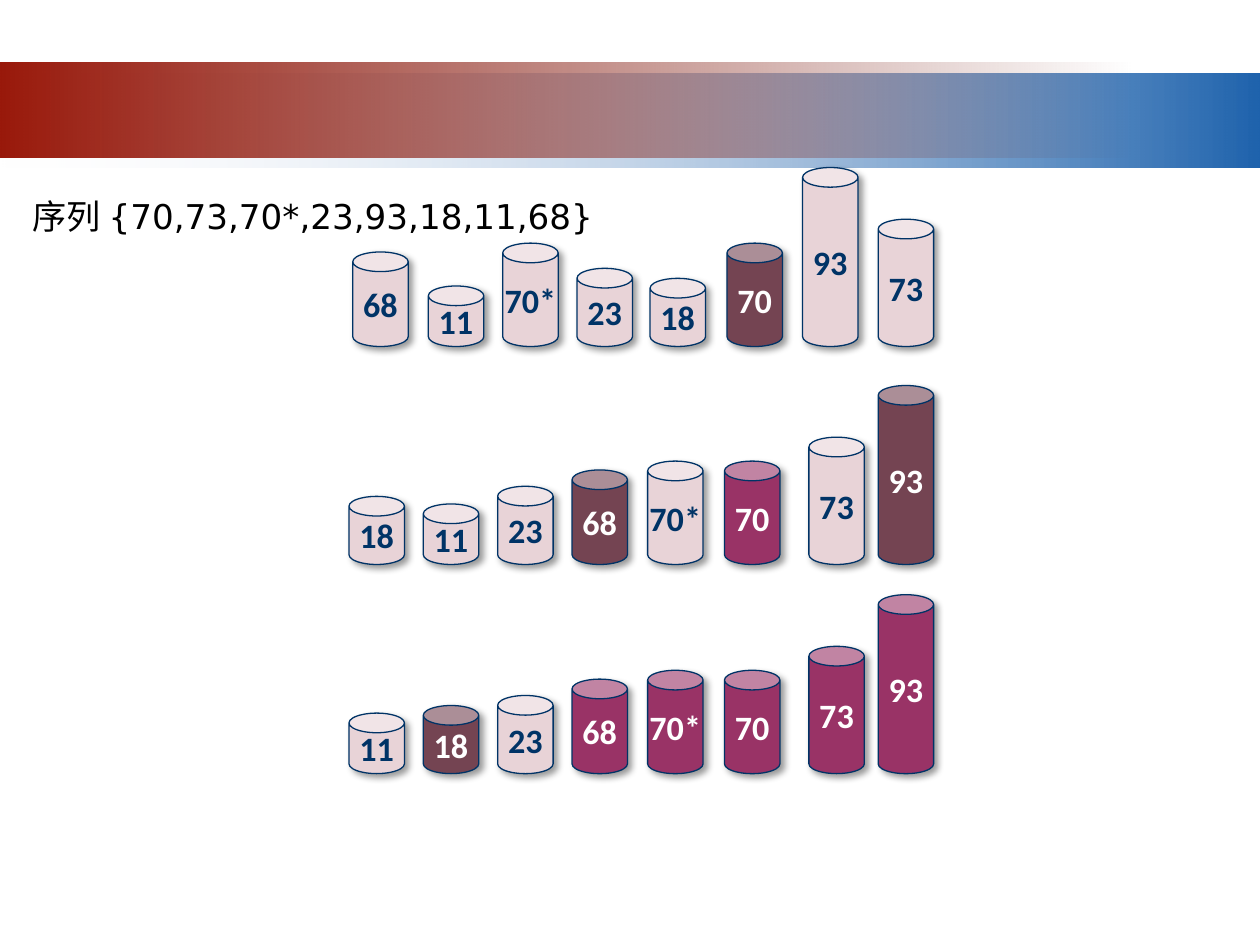
"""Build a slide that shows the partition steps of quicksort as rows of cans."""
from dataclasses import dataclass
from typing import Any

from lxml.etree import SubElement
from pptx import Presentation
from pptx.dml.color import RGBColor
from pptx.enum.shapes import MSO_SHAPE
from pptx.enum.text import MSO_ANCHOR, MSO_AUTO_SIZE, PP_ALIGN
from pptx.oxml.ns import qn
from pptx.util import Emu, Pt

PX_PER_INCH = 100


def px(length: int) -> Emu:
    """Turn whole px into EMU."""
    return Emu(length * 914400 // PX_PER_INCH)


@dataclass(frozen=True)
class Theme:
    """Hold the colours, fonts and sizes of the slide."""

    ink: str = "003366"
    light: str = "FFFFFF"
    black: str = "000000"
    red: str = "99190B"
    dark_red: str = "6D1208"
    pale: str = "F1F2F7"
    blue: str = "1F63AD"
    waiting: str = "E8D3D7"
    pivot: str = "744452"
    placed: str = "993366"
    can_font: str = "Calibri"
    title_font: str = "DejaVu Sans"
    text_size: float = 19.5
    outline: float = 0.75


THEME = Theme()


@dataclass(frozen=True)
class Stop:
    """Describe one end of a band's gradient."""

    colour: str
    opaque: bool = True


@dataclass(frozen=True)
class Band:
    """Describe one header band."""

    top: int
    width: int
    start: Stop
    end: Stop


@dataclass(frozen=True)
class Step:
    """Describe one sorting step as cans on a common floor."""

    floor: int
    lefts: tuple[int, ...]
    keys: str
    states: str


BAND_HEIGHT = 75
CAN_WIDTH = 44
CAN_HEIGHTS = {"11": 48, "18": 54, "23": 62, "68": 75, "70": 82, "73": 101, "93": 142}
STATE_COLOURS = {
    "w": (THEME.waiting, THEME.ink),
    "p": (THEME.pivot, THEME.light),
    "d": (THEME.placed, THEME.light),
}
BANDS = (
    Band(58, 1000, Stop(THEME.pale, False), Stop(THEME.blue)),
    Band(50, 900, Stop(THEME.red), Stop(THEME.dark_red, False)),
)
FIRST_LEFTS = (280, 340, 399, 458, 516, 577, 637, 697)
LATER_LEFTS = (277, 336, 395, 454, 514, 575, 642, 697)
STEPS = (
    Step(275, FIRST_LEFTS, "68 11 70* 23 18 70 93 73", "wwwwwpww"),
    Step(448, LATER_LEFTS, "18 11 23 68 70* 70 73 93", "wwwpwdwp"),
    Step(614, LATER_LEFTS, "11 18 23 68 70* 70 73 93", "wpwddddd"),
)


def apply(target: Any, values: dict[str, Any]) -> None:
    """Set each named value on the target."""
    for name, value in values.items():
        setattr(target, name, value)


def write(frame: Any, text: str, font: str, colour: str, bold: bool) -> None:
    """Put one formatted run of text in the frame."""
    run = frame.paragraphs[0].add_run()
    run.text = text
    apply(run.font, {"name": font, "size": Pt(THEME.text_size), "bold": bold})
    run.font.color.rgb = RGBColor.from_string(colour)


def draw_band(shapes: Any, band: Band) -> None:
    """Draw a band that fades at its transparent end."""
    bar = shapes.add_shape(
        MSO_SHAPE.RECTANGLE, px(0), px(band.top), px(band.width), px(BAND_HEIGHT)
    )
    bar.shadow.inherit = False
    bar.line.fill.background()
    bar.fill.gradient()
    bar.fill.gradient_angle = 0
    stops = (band.start, band.end)
    for position, (gradient_stop, stop) in enumerate(zip(bar.fill.gradient_stops, stops)):
        gradient_stop.position = position
        gradient_stop.color.rgb = RGBColor.from_string(stop.colour)
    for colour, stop in zip(bar.element.spPr.iter(qn("a:srgbClr")), stops):
        if not stop.opaque:
            SubElement(colour, qn("a:alpha"), val="0")


def cast_shadow(shape: Any) -> None:
    """Give the shape a soft shadow to the lower right."""
    shape.shadow.inherit = False
    effects = shape.element.spPr.find(qn("a:effectLst"))
    shadow = SubElement(
        effects,
        qn("a:outerShdw"),
        {"blurRad": str(Pt(4)), "dist": str(Pt(3)), "dir": "2700000", "rotWithShape": "0"},
    )
    colour = SubElement(shadow, qn("a:srgbClr"), val=THEME.black)
    SubElement(colour, qn("a:alpha"), val="40000")


def draw_can(shapes: Any, key: str, left: int, floor: int, state: str) -> None:
    """Draw one key as a can that stands on the floor."""
    height = CAN_HEIGHTS[key.rstrip("*")]
    fill, ink = STATE_COLOURS[state]
    can = shapes.add_shape(
        MSO_SHAPE.CAN, px(left), px(floor - height), px(CAN_WIDTH), px(height)
    )
    can.adjustments[0] = 0.354
    cast_shadow(can)
    can.fill.solid()
    can.fill.fore_color.rgb = RGBColor.from_string(fill)
    can.line.color.rgb = RGBColor.from_string(THEME.ink)
    can.line.width = Pt(THEME.outline)
    apply(can.text_frame, {"word_wrap": False, "vertical_anchor": MSO_ANCHOR.MIDDLE})
    can.text_frame.paragraphs[0].alignment = PP_ALIGN.CENTER
    write(can.text_frame, key, THEME.can_font, ink, True)


def draw_step(shapes: Any, step: Step) -> None:
    """Draw every can of one step."""
    for key, left, state in zip(step.keys.split(), step.lefts, step.states):
        draw_can(shapes, key, left, step.floor, state)


def draw_sequence(shapes: Any) -> None:
    """Write the sequence to be sorted."""
    frame = shapes.add_textbox(px(16), px(150), px(500), px(43)).text_frame
    apply(frame, {"word_wrap": True, "auto_size": MSO_AUTO_SIZE.SHAPE_TO_FIT_TEXT})
    write(frame, "序列 {70,73,70*,23,93,18,11,68}", THEME.title_font, THEME.black, False)


def main() -> None:
    """Build and save the slide."""
    deck = Presentation()
    apply(deck, {"slide_width": px(1000), "slide_height": px(750)})
    shapes = deck.slides.add_slide(deck.slide_layouts[6]).shapes
    for band in BANDS:
        draw_band(shapes, band)
    for step in STEPS:
        draw_step(shapes, step)
    draw_sequence(shapes)
    deck.save("out.pptx")


if __name__ == "__main__":
    main()
